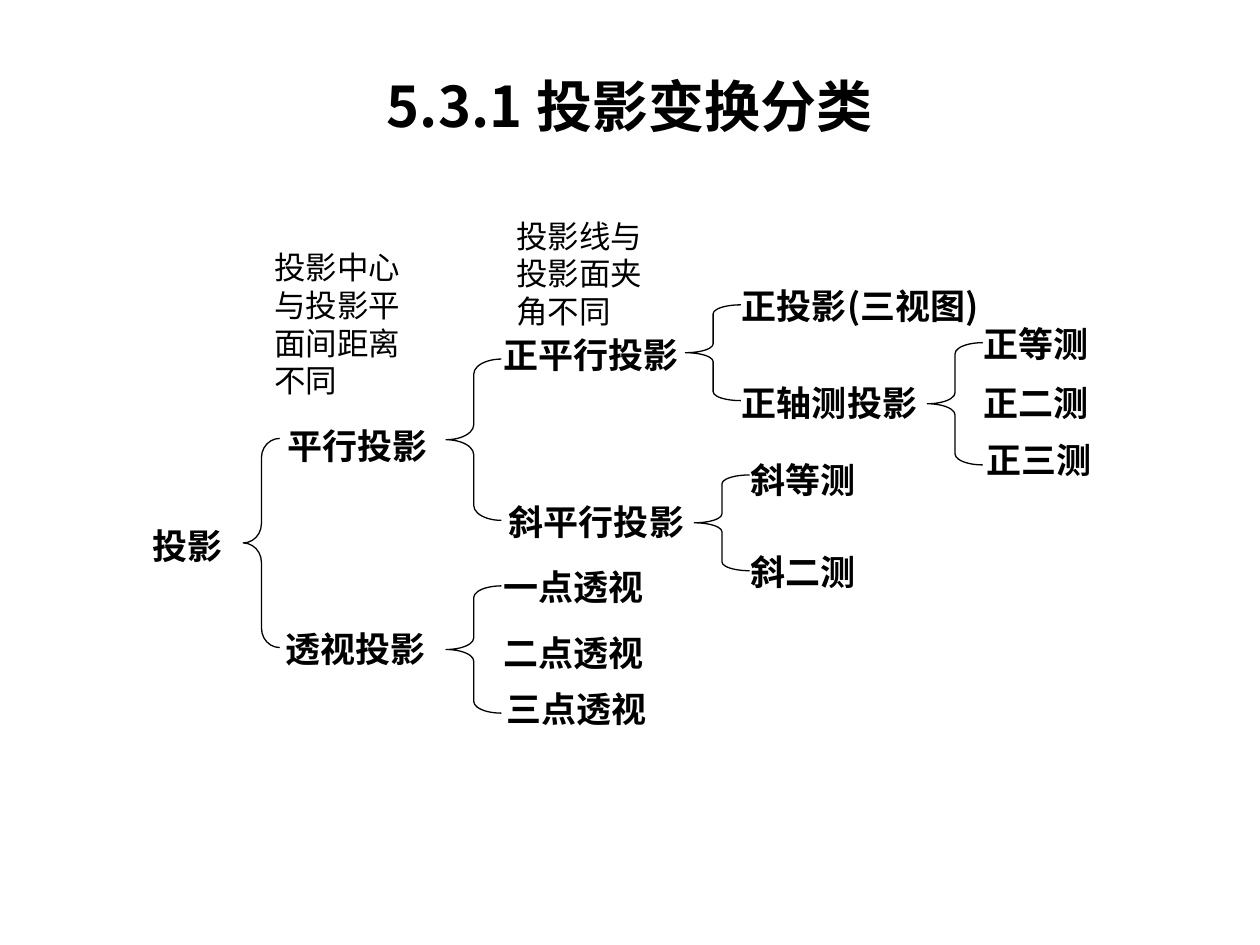
"""Build the slide that classifies projection transforms as a brace tree."""
from lxml.etree import SubElement
from pptx import Presentation
from pptx.dml.color import RGBColor
from pptx.enum.shapes import MSO_SHAPE
from pptx.enum.text import MSO_ANCHOR, PP_ALIGN
from pptx.oxml.ns import qn
from pptx.util import Inches, Pt

FONT = "Noto Sans CJK SC"
BLACK = "000000"


def color(value):
    return RGBColor.from_string(value)


def add_text(shapes, box, runs, align, line_spacing=None, anchor=MSO_ANCHOR.TOP):
    frame = shapes.add_textbox(*map(Inches, box)).text_frame
    frame.word_wrap = True
    frame.vertical_anchor = anchor
    paragraph = frame.paragraphs[0]
    paragraph.alignment = align
    paragraph.line_spacing = line_spacing
    for words, size, bold in runs:
        run = paragraph.add_run()
        run.text = words
        formats = {"name": FONT, "size": Pt(size), "bold": bold}
        for attribute, value in formats.items():
            setattr(run.font, attribute, value)
        run.font.color.rgb = color(BLACK)
        SubElement(run.font._element, qn("a:ea"), typeface=FONT)


presentation = Presentation()
presentation.slide_width = Inches(10)
presentation.slide_height = Inches(7.5)
slide = presentation.slides.add_slide(presentation.slide_layouts[6])
tree = slide.shapes.add_group_shape().shapes

braces = [
    (1.93, 3.48, 0.29, 1.66, 0.53),
    (3.54, 2.85, 0.44, 1.28, 0.27),
    (3.54, 4.65, 0.44, 1.01, 0.21),
    (5.44, 2.42, 0.44, 0.76, 0.16),
    (5.51, 3.77, 0.44, 0.76, 0.16),
    (7.36, 2.72, 0.44, 0.97, 0.2),
]
for left, top, width, height, curve in braces:
    brace = tree.add_shape(
        MSO_SHAPE.LEFT_BRACE, *map(Inches, (left, top, width, height))
    )
    brace.adjustments[0] = curve
    brace.shadow.inherit = False
    brace.fill.background()
    brace.line.color.rgb = color(BLACK)
    brace.line.width = Pt(0.75)

categories = [
    ("投影", 1.11, 4.11, 1.32),
    ("平行投影", 2.18, 3.32, 1.75),
    ("透视投影", 2.17, 4.93, 1.97),
    ("正平行投影", 3.9, 2.6, 1.75),
    ("斜平行投影", 3.94, 3.92, 1.76),
    ("一点透视", 3.9, 4.44, 1.75),
    ("二点透视", 3.9, 4.96, 1.75),
    ("三点透视", 3.92, 5.41, 1.76),
    ("正投影(三视图)", 5.79, 2.21, 3.03),
    ("正轴测投影", 5.79, 2.98, 1.76),
    ("斜等测", 5.86, 3.59, 1.76),
    ("斜二测", 5.86, 4.32, 1.76),
    ("正等测", 7.71, 2.51, 1.76),
    ("正二测", 7.71, 2.98, 1.76),
    ("正三测", 7.73, 3.43, 1.76),
]
for category, left, top, width in categories:
    add_text(
        tree, (left, top, width, 0.43), [(category, 20, True)], PP_ALIGN.JUSTIFY, Pt(24)
    )

criteria = [
    ("投影中心与投影平面间距离不同", (2.08, 1.92, 1.42, 1.3)),
    ("投影线与投影面夹角不同", (4, 1.67, 1.42, 1)),
]
for criterion, box in criteria:
    add_text(slide.shapes, box, [(criterion, 18, False)], PP_ALIGN.LEFT, Pt(21.6))

heading = [("5.3.1", 32, True), (" ", 36, False), ("投影变换分类", 32, True)]
add_text(
    slide.shapes, (0.5, 0.3, 9, 1.03), heading, PP_ALIGN.CENTER, anchor=MSO_ANCHOR.MIDDLE
)

presentation.save("out.pptx")
